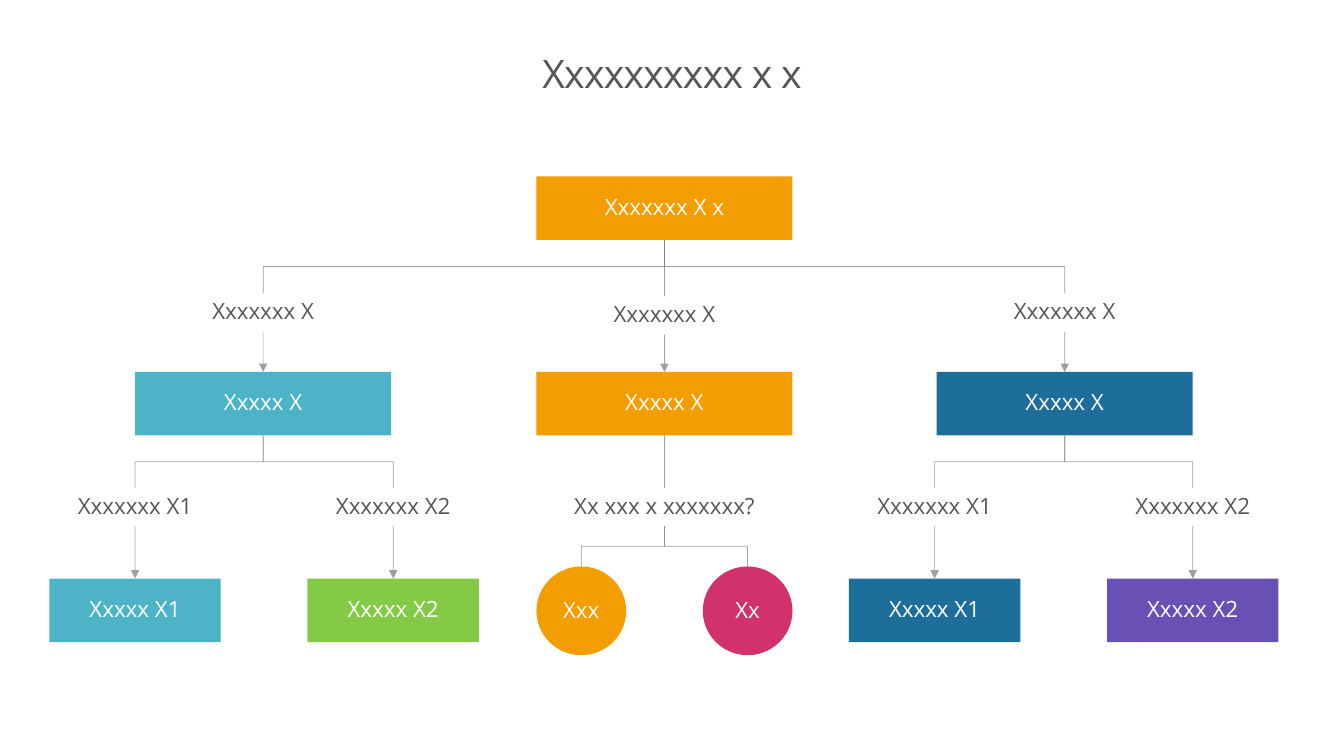
from dataclasses import dataclass

from pptx import Presentation
from pptx.dml.color import RGBColor
from pptx.enum.shapes import MSO_CONNECTOR, MSO_SHAPE
from pptx.enum.text import MSO_ANCHOR, MSO_AUTO_SIZE, PP_ALIGN
from pptx.oxml.ns import qn
from pptx.shapes.autoshape import Shape
from pptx.shapes.connector import Connector
from pptx.slide import Slide
from pptx.util import Emu, Pt
from lxml.etree import SubElement

PX = 9144  # 100 px to the inch
FONT = "Open Sans"
TEXT, WHITE, LINE = "57565A", "FFFFFF", "808080"
ORANGE, TEAL, GREEN = "F49D00", "4DB3C7", "85CA46"
BLUE, PURPLE, PINK = "1D6E9B", "6850B4", "D2326B"
LABEL_HEIGHT = 38


@dataclass
class Box:
    text: str
    center: int
    top: int
    fill: str
    width: int = 254
    height: int = 63
    round: bool = False


@dataclass
class Label:
    text: str
    center: int
    top: int
    width: int = 202


@dataclass
class Branch:
    parent: str
    name: str
    label: Label
    box: Box


def px(value: float) -> Emu:
    return Emu(round(value * PX))


def color(value: str) -> RGBColor:
    return RGBColor.from_string(value)


def style_text(shape: Shape, text: str, size: int, hue: str, spacing: float, inset: int) -> None:
    frame = shape.text_frame
    frame.text = text
    frame.word_wrap = True
    frame.vertical_anchor = MSO_ANCHOR.MIDDLE
    frame.margin_left = frame.margin_right = px(inset)
    frame.margin_top = frame.margin_bottom = px(inset)
    para = frame.paragraphs[0]
    para.alignment = PP_ALIGN.CENTER
    para.line_spacing = spacing
    font = para.runs[0].font
    font.name, font.size = FONT, Pt(size)
    font.color.rgb = color(hue)


def add_box(page: Slide, box: Box) -> Shape:
    kind = MSO_SHAPE.OVAL if box.round else MSO_SHAPE.RECTANGLE
    shape = page.shapes.add_shape(kind, px(box.center - box.width // 2), px(box.top),
                                  px(box.width), px(box.height))
    shape.shadow.inherit = False
    shape.fill.solid()
    shape.fill.fore_color.rgb = color(box.fill)
    shape.line.fill.background()
    style_text(shape, box.text, 16, WHITE, 0.9, 20 if box.round else 1)
    if box.round:
        shape.text_frame.word_wrap = False
    return shape


def add_label(page: Slide, label: Label) -> Shape:
    shape = page.shapes.add_textbox(px(label.center - label.width // 2), px(label.top),
                                    px(label.width), px(LABEL_HEIGHT))
    style_text(shape, label.text, 16, TEXT, 0.9, 7)
    shape.text_frame.auto_size = MSO_AUTO_SIZE.SHAPE_TO_FIT_TEXT
    return shape


def style_line(line: Connector, arrow: bool) -> None:
    line.line.color.rgb = color(LINE)
    line.line.width = Pt(0.5)
    props = line._element.spPr
    SubElement(next(props.iter(qn("a:srgbClr"))), qn("a:alpha"), val="75000")
    if arrow:
        SubElement(props.find(qn("a:ln")), qn("a:tailEnd"), type="triangle")
    SubElement(props, qn("a:effectLst"))


def join(page: Slide, upper: Shape, lower: Shape, arrow: bool = False) -> None:
    """Lead from the bottom of one shape to the top of another."""
    start_x, end_x = (shape.left + shape.width // 2 for shape in (upper, lower))
    start_y, end_y = upper.top + upper.height, lower.top
    if start_x == end_x:
        line = page.shapes.add_connector(MSO_CONNECTOR.STRAIGHT, start_x, start_y, end_x, end_y)
        line.begin_connect(upper, 2)
        line.end_connect(lower, 0)
    else:
        # An elbow leaves sideways, so it is laid flat and turned a quarter
        middle_x, middle_y = (start_x + end_x) // 2, (start_y + end_y) // 2
        half_fall, half_run = (end_y - start_y) // 2, abs(end_x - start_x) // 2
        side = 1 if end_x > start_x else -1
        line = page.shapes.add_connector(
            MSO_CONNECTOR.ELBOW,
            middle_x + side * half_fall, middle_y - half_run,
            middle_x - side * half_fall, middle_y + half_run)
        line._element.spPr.xfrm.set("rot", "16200000" if side > 0 else "5400000")
    style_line(line, arrow)


def add_title(page: Slide, text: str) -> None:
    title = page.shapes.title
    title.left, title.top, title.width, title.height = px(100), px(31), px(1133), px(89)
    style_text(title, text, 28, TEXT, 0.86, 0)
    title.text_frame.auto_size = MSO_AUTO_SIZE.NONE
    title.text_frame.paragraphs[0].runs[0].font._element.set("spc", "-50")


def leaf(parent: str, number: int, center: int, fill: str) -> Branch:
    return Branch(parent, f"{parent} {number}", Label(f"Xxxxxxx X{number}", center, 484),
                  Box(f"Xxxxx X{number}", center, 574, fill, width=170))


def middle(name: str, center: int, label_top: int, fill: str) -> Branch:
    return Branch("root", name, Label("Xxxxxxx X", center, label_top),
                  Box("Xxxxx X", center, 369, fill))


ROOT = Box("Xxxxxxx X x", 659, 175, ORANGE)
BRANCHES = [
    middle("left", 261, 291, TEAL),
    middle("center", 659, 294, ORANGE),
    middle("right", 1056, 291, BLUE),
    leaf("left", 1, 134, TEAL),
    leaf("left", 2, 390, GREEN),
    leaf("right", 1, 927, BLUE),
    leaf("right", 2, 1183, PURPLE),
]
QUESTION = Label("Xx xxx x xxxxxxx?", 659, 484, width=254)
ANSWERS = [
    Box("Xxx", 576, 562, ORANGE, 89, 88, round=True),
    Box("Xx", 741, 562, PINK, 89, 88, round=True),
]


def main() -> None:
    deck = Presentation()
    deck.slide_width, deck.slide_height = px(1333), px(750)
    page = deck.slides.add_slide(deck.slide_layouts[5])
    add_title(page, "Xxxxxxxxxx x x")

    # Tree of labelled branches
    boxes = {"root": add_box(page, ROOT)}
    for branch in BRANCHES:
        label = add_label(page, branch.label)
        boxes[branch.name] = add_box(page, branch.box)
        join(page, boxes[branch.parent], label)
        join(page, label, boxes[branch.name], arrow=True)

    # Question with its two answers
    question = add_label(page, QUESTION)
    join(page, boxes["center"], question)
    for answer in ANSWERS:
        join(page, question, add_box(page, answer))

    deck.save("out.pptx")


if __name__ == "__main__":
    main()
